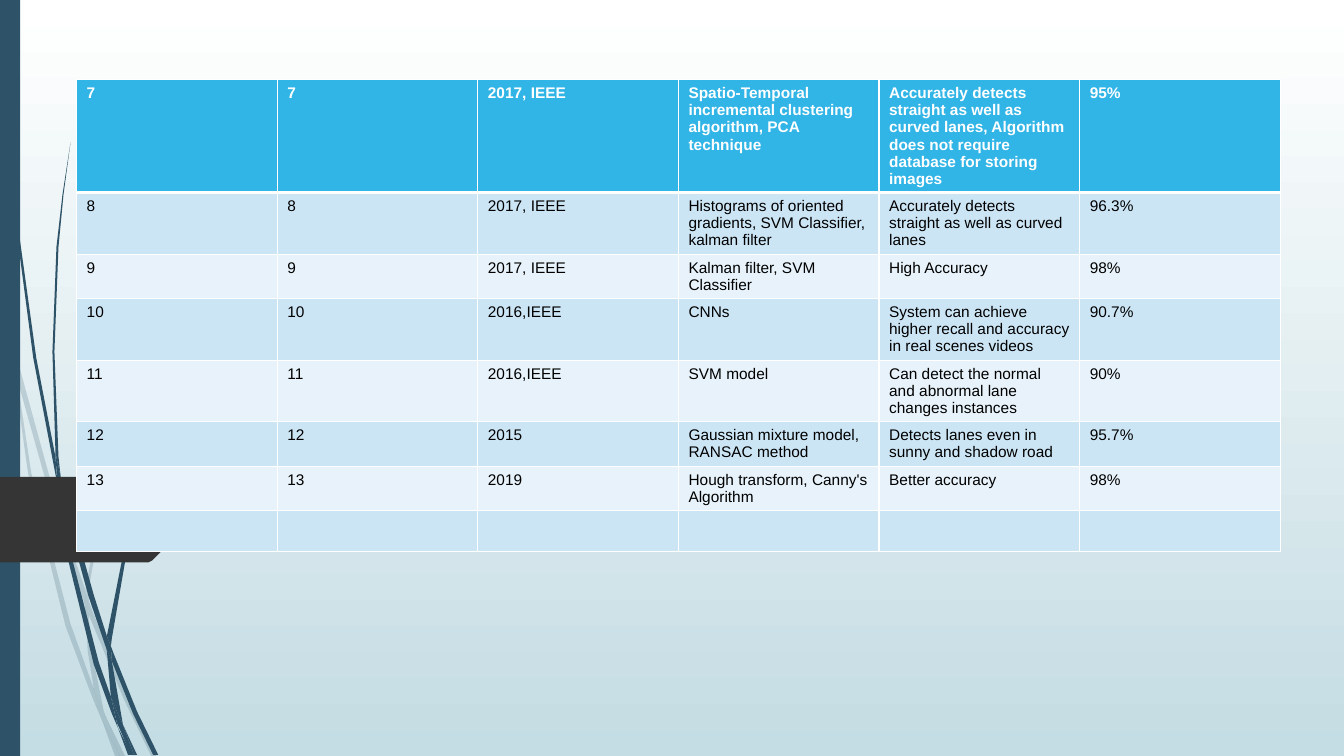
from lxml.etree import SubElement
from pptx import Presentation
from pptx.dml.color import RGBColor
from pptx.enum.shapes import MSO_SHAPE as Shape
from pptx.oxml.ns import qn
from pptx.util import Inches, Pt

COLORS = {
    "sky_top": "FFFFFF", "sky_bottom": "C4DCE3",
    "stem": "2E5369", "tab": "353535",
    "header": "31B4E6", "band_dark": "CCE5F5", "band_light": "E7F2FA",
    "border": "FFFFFF", "header_text": "FFFFFF", "text": "000000",
}
FONT = "Arial"
SLIDE_WIDTH, SLIDE_HEIGHT = 13.33, 7.5
TABLE_LEFT, TABLE_TOP = 0.76, 0.79
COLUMN_WIDTH, ROW_HEIGHT = 1.99, 0.41

ROWS = [
    ("7", "7", "2017, IEEE", "Spatio-Temporal incremental clustering algorithm, PCA technique",
     "Accurately detects straight as well as curved lanes, Algorithm does not require "
     "database for storing images", "95%"),
    ("8", "8", "2017, IEEE", "Histograms of oriented gradients, SVM Classifier, kalman filter",
     "Accurately detects straight as well as curved lanes", "96.3%"),
    ("9", "9", "2017, IEEE", "Kalman filter, SVM Classifier", "High Accuracy", "98%"),
    ("10", "10", "2016,IEEE", "CNNs",
     "System can achieve higher recall and accuracy in real scenes videos", "90.7%"),
    ("11", "11", "2016,IEEE", "SVM model",
     "Can detect the normal and abnormal lane changes instances", "90%"),
    ("12", "12", "2015", "Gaussian mixture model, RANSAC method",
     "Detects lanes even in sunny and shadow road", "95.7%"),
    ("13", "13", "2019", "Hough transform, Canny's Algorithm", "Better accuracy", "98%"),
    ("",) * 6,
]

# Outlines of the grass blades and the page tab, in inches
PALE_BLADES = [
    [(0.11, 3.5), (0.09, 3.22), (0, 2.82), (0, 2.99), (0.1, 3.44)],
    [(0.17, 3.76), (0.58, 5.22), (0.84, 5.99), (0.85, 5.86), (0.62, 5.2), (0.14, 3.45)],
    [(0.88, 6.1), (1.23, 6.94), (1.5, 7.5), (1.55, 7.5), (1.27, 6.92), (0.92, 6.07),
     (0.88, 5.96)],
    [(1.05, 7.11), (1.19, 7.5), (1.24, 7.5)],
    [(0.11, 3.5), (0.28, 4.7), (0.65, 6.21), (0.92, 6.93), (1.01, 7.14), (0.99, 7.07),
     (0.93, 6.83), (0.7, 6.19), (0.31, 4.69), (0.17, 3.76)],
    [(0.84, 5.99), (0.87, 6.46), (0.93, 6.83), (0.96, 6.92), (1.05, 7.11), (1.03, 7.06),
     (0.91, 6.46), (0.88, 6.1)],
    [(0.88, 5.96), (0.88, 5.84), (1.1, 4.62), (1.6, 3.49), (2.29, 2.45), (2.68, 1.98),
     (3.12, 1.54), (3.12, 1.53), (2.68, 1.97), (2.28, 2.44), (1.58, 3.48), (1.07, 4.61),
     (0.85, 5.84)],
    [(1.01, 7.14), (1.14, 7.5), (1.19, 7.5)],
    [(0.88, 6.1), (0.88, 5.96), (0.85, 5.86), (0.84, 5.99)],
    [(0.93, 6.83), (0.99, 7.07), (1.01, 7.14), (1.19, 7.5), (1.05, 7.11), (0.96, 6.92)],
]
DARK_BLADES = [
    [(0.03, 0), (0.04, 0.48), (0.07, 1.1), (0.17, 2.33), (0.33, 3.55), (0.57, 4.81),
     (0.55, 4.53), (0.36, 3.55), (0.19, 2.32), (0.08, 1.09), (0.05, 0.48), (0.04, 0)],
    [(0.64, 5.05), (0.88, 5.92), (1.06, 6.45), (1.06, 6.31), (0.93, 5.9), (0.6, 4.72)],
    [(1.11, 6.56), (1.32, 7.08), (1.52, 7.49), (1.57, 7.49), (1.36, 7.06), (1.13, 6.49),
     (1.1, 6.41)],
    [(0.57, 4.77), (0.68, 5.57), (0.93, 6.59), (1.11, 7.08), (1.17, 7.22), (1.1, 6.91),
     (0.98, 6.57), (0.72, 5.56), (0.64, 5.05)],
    [(0.6, 4.72), (0.58, 4.53), (0.54, 3.49), (0.58, 2.45), (0.63, 1.93), (0.7, 1.41),
     (0.62, 1.93), (0.56, 2.45), (0.52, 3.49), (0.55, 4.49)],
    [(1.22, 7.19), (1.33, 7.49), (1.36, 7.49)],
    [(0.55, 4.49), (0.55, 4.53), (0.57, 4.77), (0.64, 5.05), (0.6, 4.72)],
    [(1.11, 6.33), (1.25, 5.52), (1.58, 4.76), (2.05, 4.06), (2.31, 3.74), (2.61, 3.44),
     (2.6, 3.44), (2.31, 3.73), (2.04, 4.05), (1.56, 4.74), (1.22, 5.51), (1.06, 6.31),
     (1.1, 6.41)],
    [(1.17, 7.22), (1.27, 7.49), (1.31, 7.49)],
    [(1.06, 6.45), (1.1, 6.91), (1.16, 7.06), (1.22, 7.19), (1.11, 6.56), (1.09, 6.51)],
    [(1.06, 6.45), (1.09, 6.51), (1.11, 6.56), (1.1, 6.41), (1.06, 6.31)],
    [(1.1, 6.91), (1.16, 7.17), (1.3, 7.49), (1.33, 7.49), (1.22, 7.19), (1.16, 7.06)],
]
TAB_OUTLINE = [(0, 4.73), (1.47, 4.73), (1.51, 4.74), (1.9, 5.13), (1.9, 5.17),
               (1.51, 5.56), (1.47, 5.58), (0, 5.58)]


def rgb(name):
    return RGBColor.from_string(COLORS[name])


def paint(shape, color, alpha=None):
    shape.shadow.inherit = False
    shape.fill.solid()
    shape.fill.fore_color.rgb = rgb(color)
    shape.line.fill.background()
    if alpha is not None:
        color_element = shape._element.spPr.find(qn("a:solidFill"))[0]
        SubElement(color_element, qn("a:alpha"), val=str(alpha * 1000))


def add_outline(slide, points, color, alpha=None):
    start, *others = [(Inches(x), Inches(y)) for x, y in points]
    builder = slide.shapes.build_freeform(*start)
    builder.add_line_segments(others, close=True)
    paint(builder.convert_to_shape(), color, alpha)


def set_background(slide):
    fill = slide.background.fill
    fill.gradient()
    fill.gradient_angle = 270
    for stop, position, color in zip(fill.gradient_stops, (0, 1), ("sky_top", "sky_bottom")):
        stop.position = position
        stop.color.rgb = rgb(color)


def write_text(cell, text, *, size=11, color="text", bold=False):
    run = cell.text_frame.paragraphs[0].add_run()
    run.text = text
    run.font.name, run.font.size, run.font.bold = FONT, Pt(size), bold
    run.font.color.rgb = rgb(color)


def set_borders(cell, top=1, bottom=1):
    properties = cell._tc.get_or_add_tcPr()
    for index, (side, width) in enumerate(zip("LRTB", (1, 1, top, bottom))):
        line = SubElement(properties, qn(f"a:ln{side}"), w=str(Pt(width)))
        fill = SubElement(line, qn("a:solidFill"))
        SubElement(fill, qn("a:srgbClr"), val=COLORS["border"])
        properties.insert(index, line)


def add_results_table(slide):
    columns = len(ROWS[0])
    table = slide.shapes.add_table(
        len(ROWS), columns, Inches(TABLE_LEFT), Inches(TABLE_TOP),
        Inches(columns * COLUMN_WIDTH), Inches(len(ROWS) * ROW_HEIGHT)).table
    for row_index, row in enumerate(ROWS):
        header = row_index == 0
        band = "header" if header else "band_dark" if row_index % 2 else "band_light"
        for column_index, text in enumerate(row):
            cell = table.cell(row_index, column_index)
            cell.fill.solid()
            cell.fill.fore_color.rgb = rgb(band)
            set_borders(cell, top=3 if row_index == 1 else 1, bottom=3 if header else 1)
            if text:
                write_text(cell, text, color="header_text" if header else "text", bold=header)


def main():
    presentation = Presentation()
    presentation.slide_width = Inches(SLIDE_WIDTH)
    presentation.slide_height = Inches(SLIDE_HEIGHT)
    slide = presentation.slides.add_slide(presentation.slide_layouts[6])
    set_background(slide)

    # Grass on the left, pale blades behind the dark ones
    for blades, alpha in ((PALE_BLADES, 20), (DARK_BLADES, None)):
        for outline in blades:
            add_outline(slide, outline, "stem", alpha)

    # Side bar and page tab
    bar = slide.shapes.add_shape(Shape.RECTANGLE, 0, 0, Inches(0.2), Inches(SLIDE_HEIGHT))
    paint(bar, "stem")
    add_outline(slide, TAB_OUTLINE, "tab")

    add_results_table(slide)
    presentation.save("out.pptx")


if __name__ == "__main__":
    main()
